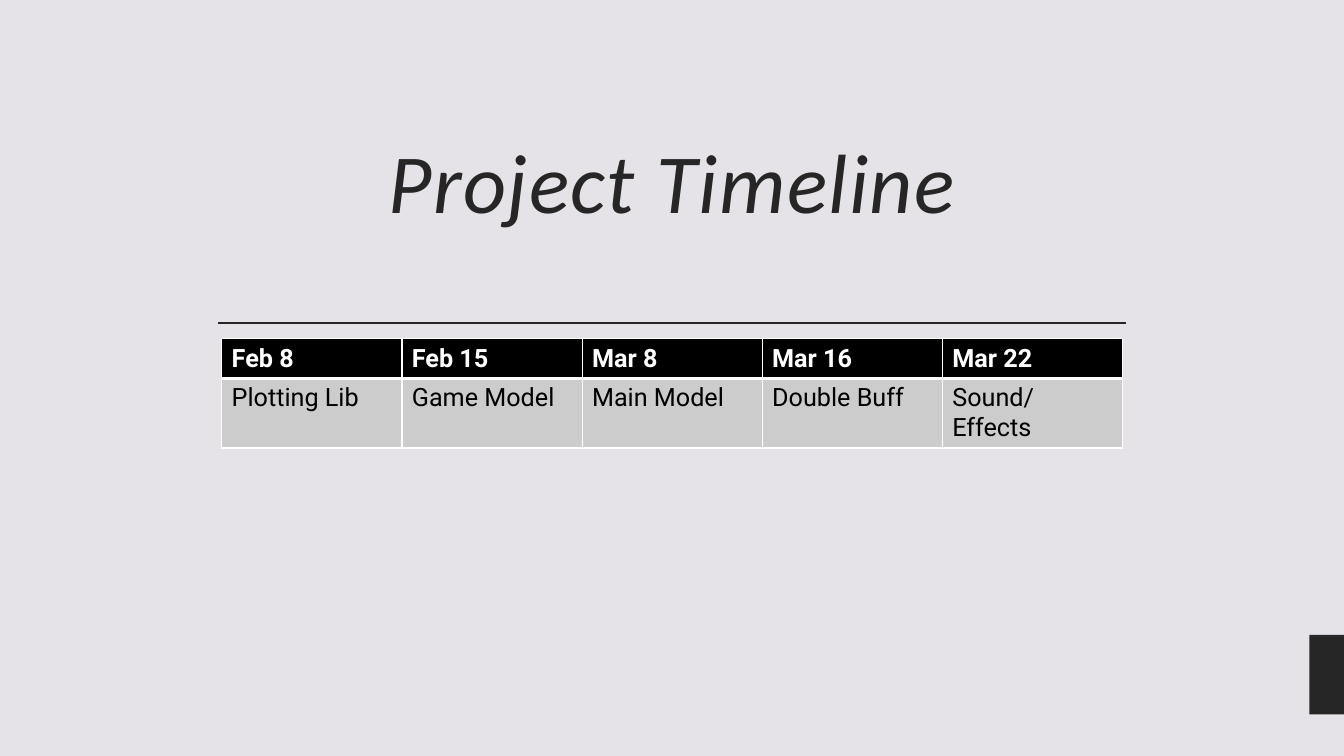
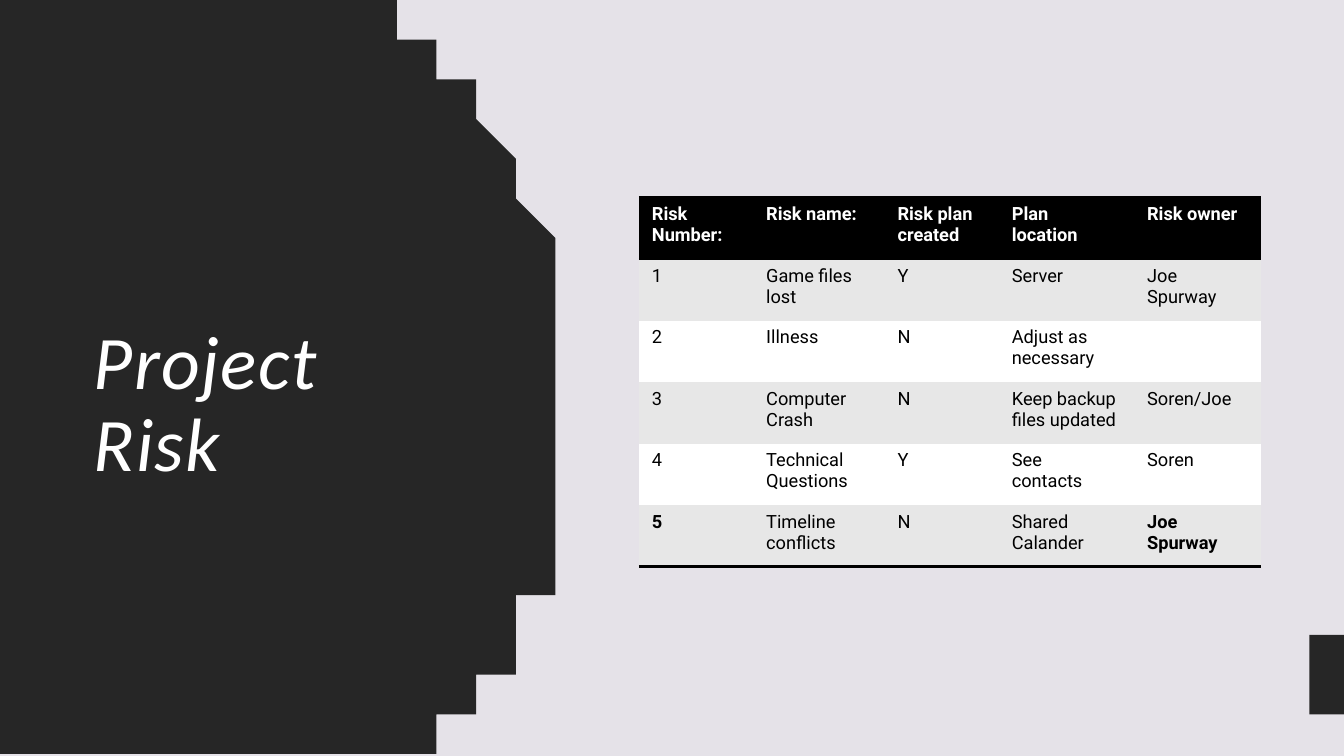
import math
from lxml import etree
from pptx import Presentation
from pptx import util as u
from pptx.dml import color
from pptx.enum import shapes, text
from pptx.oxml import ns

INK = {
    "page": "E5E2E8",
    "dark": "262626",
    "black": "000000",
    "white": "FFFFFF",
    "grey": "CCCCCC",
    "pale": "E7E7E7",
}
WIDE, HIGH = 33.87, 19.05
PLAIN = "{2D5ABB26-0587-4C30-8999-92F81FD0307C}"
EDGES = ("L", "R", "T", "B")


def rgb(name):
    return color.RGBColor.from_string(INK[name])


def write(frame, words, size=18, font="Roboto", ink="black", bold=False,
          slant=False, align=text.PP_ALIGN.LEFT, lead=None, gap=None):
    para = frame.paragraphs[0]
    para.text = words
    para.alignment = align
    if lead:
        para.line_spacing = lead
    for run in para.runs:
        face = run.font
        face.name, face.size = font, u.Pt(size)
        face.bold, face.italic = bold, slant
        face.color.rgb = rgb(ink)
        if gap:
            run._r.get_or_add_rPr().set("spc", str(gap))


def title(slide, words, box, anchor, **look):
    head = slide.shapes.title
    head.left, head.top, head.width, head.height = map(u.Cm, box)
    frame = head.text_frame
    frame.word_wrap = True
    frame.auto_size = text.MSO_AUTO_SIZE.NONE
    frame.vertical_anchor = anchor
    write(frame, words, font="Calibri", slant=True, lead=0.9, gap=100, **look)


def disc(slide, mid, rad, start, end, ends=()):
    steps = 80
    turns = [start + (end - start) * i / steps for i in range(steps + 1)]
    dots = [(mid[0] + rad * math.cos(t), mid[1] + rad * math.sin(t))
            for t in turns]
    pen = slide.shapes.build_freeform(*dots[0], scale=u.Cm(1))
    pen.add_line_segments(dots[1:] + list(ends), close=True)
    form = pen.convert_to_shape()
    form.shadow.inherit = False
    form.fill.solid()
    form.fill.fore_color.rgb = rgb("dark")
    form.line.fill.background()


def corner(slide):
    disc(slide, (WIDE, 17.2), 1.14, math.pi / 2, 3 * math.pi / 2)


def panel(slide, mid, rad):
    top = -math.asin(mid[1] / rad)
    low = math.asin((HIGH - mid[1]) / rad)
    disc(slide, mid, rad, top, low, ((0, HIGH), (0, 0)))


def rule(slide, left, right, y):
    line = slide.shapes.add_connector(
        shapes.MSO_CONNECTOR.STRAIGHT, u.Cm(right), u.Cm(y), u.Cm(left), u.Cm(y))
    line.line.color.rgb = rgb("dark")
    line.line.width = u.Pt(1.5)
    etree.SubElement(line._element.spPr, ns.qn("a:effectLst"))


def border(cell, lines):
    props = cell._tc.get_or_add_tcPr()
    for spot, edge in enumerate(e for e in EDGES if e in lines):
        ink, width = lines[edge]
        line = etree.Element(ns.qn("a:ln" + edge), w=str(u.Pt(width)))
        fill = etree.SubElement(line, ns.qn("a:solidFill"))
        etree.SubElement(fill, ns.qn("a:srgbClr"), val=INK[ink])
        props.insert(spot, line)


def grid(slide, spot, cols, rows, data, size, fills, lines, pad, bold=()):
    frame = slide.shapes.add_table(
        len(rows), len(cols), *map(u.Cm, (*spot, sum(cols), sum(rows))))
    for style in frame._element.iter(ns.qn("a:tableStyleId")):
        style.text = PLAIN
    table = frame.table
    table.horz_banding = False
    for col, width in zip(table.columns, cols):
        col.width = u.Cm(width)
    for r, (row, tall) in enumerate(zip(data, rows)):
        table.rows[r].height = u.Cm(tall)
        for c, words in enumerate(row):
            cell = table.cell(r, c)
            cell.margin_left = cell.margin_right = u.Cm(pad[0])
            cell.margin_top = cell.margin_bottom = u.Cm(pad[1])
            cell.fill.solid()
            cell.fill.fore_color.rgb = rgb(fills[r])
            border(cell, lines.get(r, {}))
            if words:
                write(cell.text_frame, words, size=size,
                      ink="black" if r else "white",
                      bold=r == 0 or (r, c) in bold)


def timeline(slide):
    title(slide, "Project Timeline", (5.38, 2.11, 23.11, 5.16),
          text.MSO_ANCHOR.MIDDLE, size=60, ink="dark",
          align=text.PP_ALIGN.CENTER)
    rule(slide, 5.5, 28.37, 8.15)
    corner(slide)
    thin = dict.fromkeys(EDGES, ("white", 1))
    thick = {"B": ("white", 3)}
    data = [
        ("Feb 8", "Feb 15", "Mar 8", "Mar 16", "Mar 22"),
        ("Plotting Lib", "Game Model", "Main Model", "Double Buff",
         "Sound/Effects"),
    ]
    grid(slide, (5.59, 8.53), [4.54] * 5, [1.0, 1.74], data, 18,
         ("black", "grey"), {0: thin | thick, 1: thin | {"T": ("white", 3)}},
         (0.25, 0.13))


def risk(slide):
    panel(slide, (2.11, 10.34), 12.37)
    slide.shapes._spTree.append(slide.shapes.title._element)
    title(slide, "Project\nRisk", (2.11, 3.12, 9.58, 9.3),
          text.MSO_ANCHOR.BOTTOM, size=54, ink="white")
    corner(slide)
    data = [
        ("Risk Number:", "Risk name:", "Risk plan created", "Plan\nlocation",
         "Risk owner"),
        ("1", "Game files lost", "Y", "Server", "Joe Spurway"),
        ("2", "Illness", "N", "Adjust as necessary", ""),
        ("3", "Computer Crash", "N", "Keep backup files updated", "Soren/Joe"),
        ("4", "Technical Questions", "Y", "See\ncontacts", "Soren"),
        ("5", "Timeline conflicts", "N", "Shared Calander", "Joe Spurway"),
    ]
    edge = ("black", 2)
    grid(slide, (16.1, 4.98), (2.88, 3.31, 2.88, 3.41, 3.2), [1.55] * 6, data,
         13, ("black", "pale", "white", "pale", "white", "pale"),
         {0: {"T": edge, "B": edge}, 5: {"B": edge}}, (0.33, 0.16),
         {(5, 0), (5, 4)})


def main():
    deck = Presentation()
    deck.slide_width, deck.slide_height = u.Cm(WIDE), u.Cm(HIGH)
    back = deck.slide_master.background.fill
    back.solid()
    back.fore_color.rgb = rgb("page")
    for build in (timeline, risk):
        build(deck.slides.add_slide(deck.slide_layouts[5]))
    deck.save("out.pptx")


if __name__ == "__main__":
    main()
